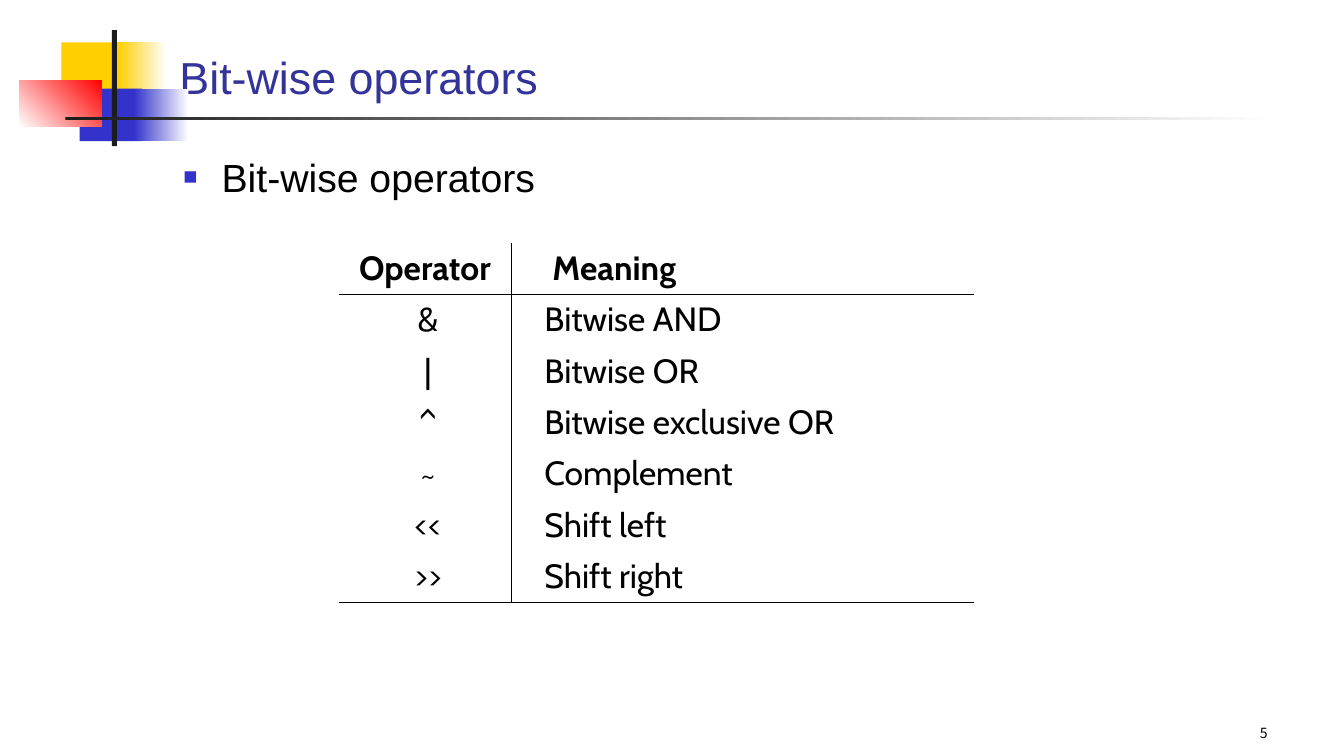
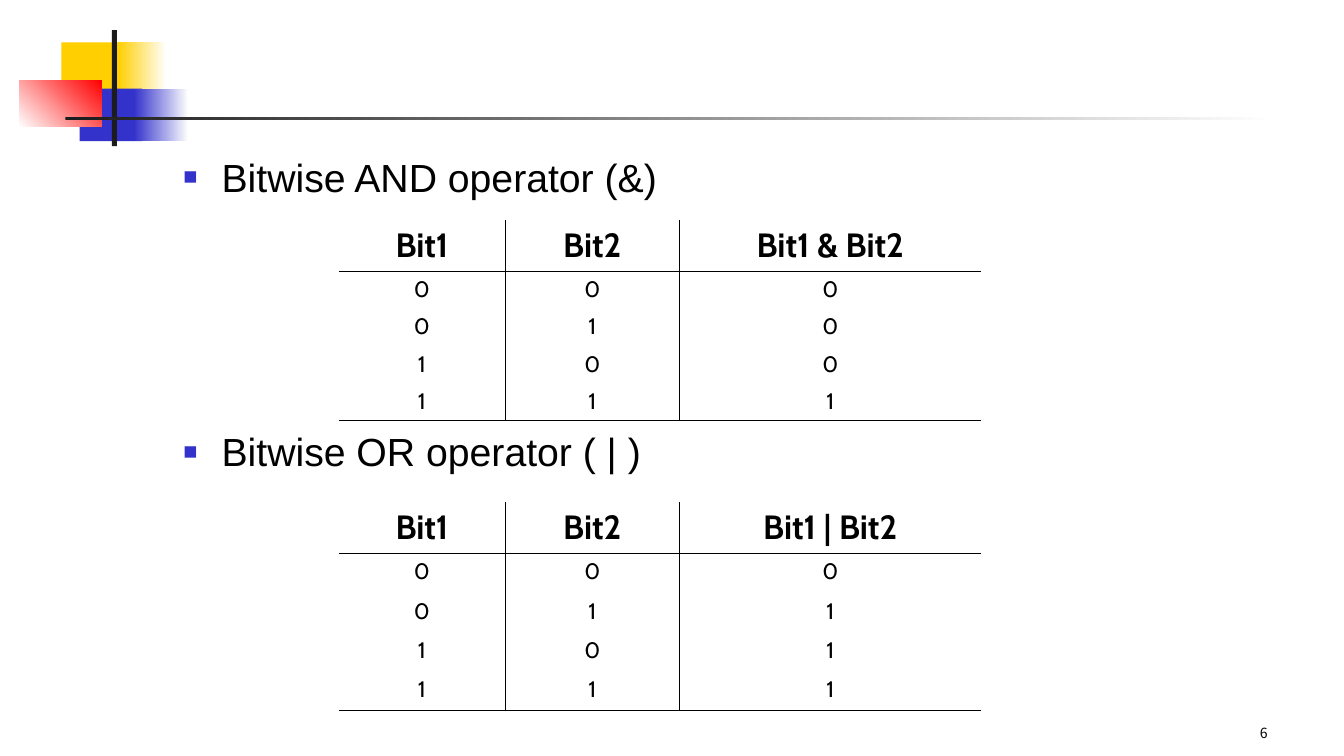
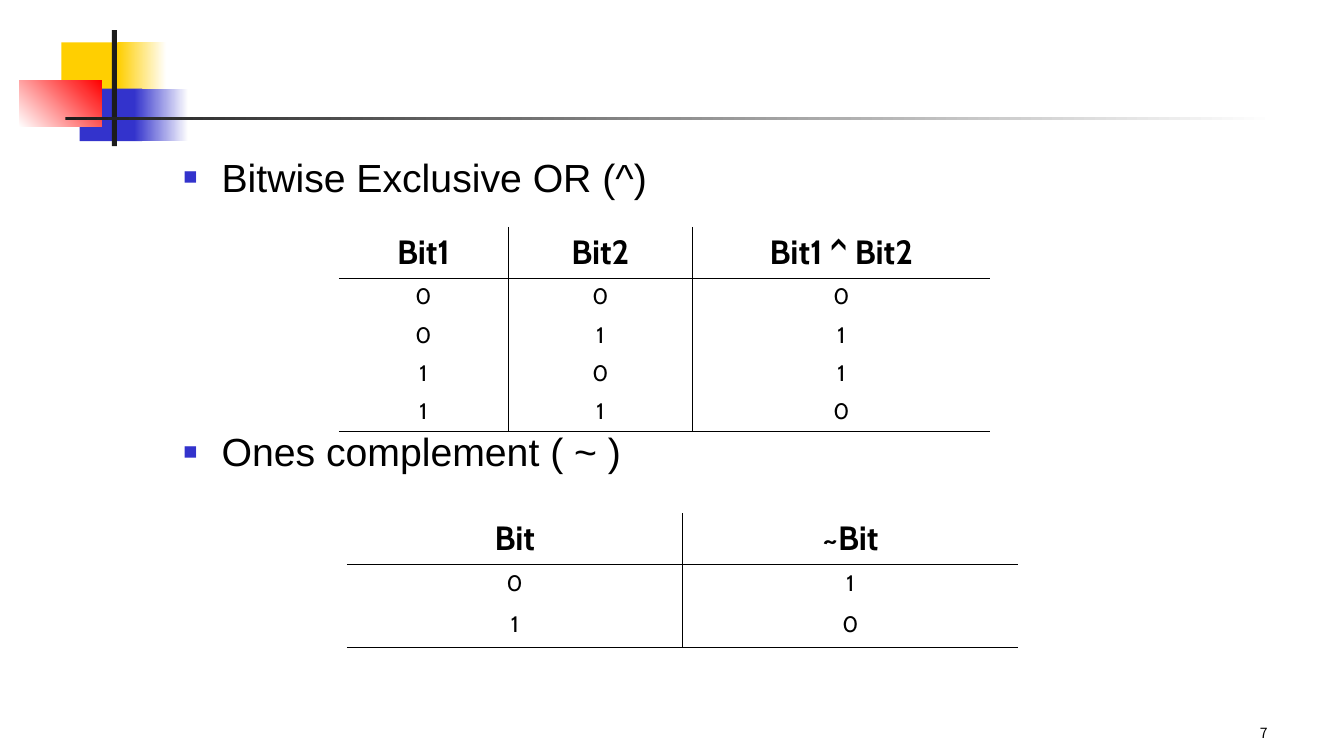
"""Build three slides on bit-wise operators and their truth tables."""
from dataclasses import dataclass
from typing import Optional

from lxml import etree
from pptx import Presentation
from pptx.dml.color import RGBColor
from pptx.enum import shapes, text
from pptx.oxml.ns import qn
from pptx.util import Inches, Pt


@dataclass(frozen=True)
class Theme:
    yellow: str = "FFCF01"
    blue: str = "3333CC"
    red: str = "FF0000"
    dark: str = "1C1C1C"
    white: str = "FFFFFF"
    title: str = "333399"
    ink: str = "000000"
    font: str = "Arial"
    table_font: str = "Cabin"
    number_font: str = "Noto Sans CJK KR"
    title_size: int = 32
    bullet_size: int = 28
    header_size: int = 24
    bit_size: int = 16
    number_size: int = 10
    rule_width: float = 1
    bullet_percent: int = 60


@dataclass(frozen=True)
class Block:
    left: float
    top: float
    width: float
    height: float
    color: str
    end: Optional[str] = None
    angle: int = 0


@dataclass(frozen=True)
class Grid:
    left: float
    top: float
    cols: tuple[float, ...]
    row_height: float
    rows: tuple[tuple[str, ...], ...]
    size: int
    centered: bool = True


@dataclass(frozen=True)
class Section:
    top: float
    heading: str
    grid: Grid


@dataclass(frozen=True)
class Page:
    number: int
    sections: tuple[Section, ...]
    title: str = ""


T = Theme()
HEADER_HEIGHT = 0.51
FIRST_TOP, SECOND_TOP = 1.47, 4.19

ORNAMENT = (
    Block(0.61, 0.42, 0.64, 0.52, T.yellow),
    Block(1.17, 0.42, 0.48, 0.52, T.yellow, T.white),
    Block(0.79, 0.88, 0.62, 0.52, T.blue),
    Block(1.33, 0.88, 0.54, 0.52, T.blue, T.white),
    Block(0.19, 0.8, 0.82, 0.46, T.white, T.red, 45),
    Block(1.11, 0.3, 0.05, 1.15, T.dark),
    Block(0.65, 1.16, 12, 0.03, T.dark, T.white),
)

OPERATORS = (
    ("Operator", "Meaning"),
    ("&", "Bitwise AND"),
    ("|", "Bitwise OR"),
    ("^", "Bitwise exclusive OR"),
    ("~", "Complement"),
    ("<<", "Shift left"),
    (">>", "Shift right"),
)


def truth_rows(symbol: str, results: str) -> tuple[tuple[str, ...], ...]:
    """Return the header and four rows of a two-bit truth table."""
    pairs = ("00", "01", "10", "11")
    return (("Bit1", "Bit2", f"Bit1 {symbol} Bit2"),
            *((*pair, result) for pair, result in zip(pairs, results)))


PAGES = (
    Page(5, (
        Section(FIRST_TOP, "Bit-wise operators",
                Grid(3.36, 2.41, (1.71, 4.59), 0.51, OPERATORS, T.header_size, False)),
    ), "Bit-wise operators"),
    Page(6, (
        Section(FIRST_TOP, "Bitwise AND operator (&)",
                Grid(3.36, 2.18, (1.65, 1.73, 2.99), 0.37, truth_rows("&", "0001"), T.bit_size)),
        Section(SECOND_TOP, "Bitwise OR operator ( | )",
                Grid(3.36, 4.98, (1.65, 1.73, 2.99), 0.39, truth_rows("|", "0111"), T.bit_size)),
    )),
    Page(7, (
        Section(FIRST_TOP, "Bitwise Exclusive OR (^)",
                Grid(3.36, 2.25, (1.68, 1.83, 2.95), 0.38, truth_rows("^", "0110"), T.bit_size)),
        Section(SECOND_TOP, "Ones complement ( ~ )",
                Grid(3.44, 5.09, (3.33, 3.33), 0.41,
                     (("Bit", "~Bit"), ("0", "1"), ("1", "0")), T.bit_size)),
    )),
)


def write(tf, value: str, size: int, font: str, color: str = T.ink,
          align=text.PP_ALIGN.LEFT, bold: bool = False):
    """Set the text of a frame, format it and return its paragraph."""
    tf.text = value
    tf.word_wrap = True
    p = tf.paragraphs[0]
    p.alignment = align
    for r in p.runs:
        r.font.size = Pt(size)
        r.font.name = font
        r.font.bold = bold
        r.font.color.rgb = RGBColor.from_string(color)
    return p


def add_block(s, block: Block) -> None:
    """Draw one solid or gradient rectangle."""
    sp = s.shapes.add_shape(shapes.MSO_SHAPE.RECTANGLE, Inches(block.left), Inches(block.top),
                            Inches(block.width), Inches(block.height))
    sp.shadow.inherit = False
    sp.line.fill.background()
    if block.end is None:
        sp.fill.solid()
        sp.fill.fore_color.rgb = RGBColor.from_string(block.color)
        return
    sp.fill.gradient()
    sp.fill.gradient_angle = block.angle
    for stop, position, color in zip(sp.fill.gradient_stops, (0, 1), (block.color, block.end)):
        stop.position = position
        stop.color.rgb = RGBColor.from_string(color)


def add_title(s, value: str) -> None:
    """Place and format the title placeholder."""
    sp = s.shapes.title
    sp.left, sp.top, sp.width, sp.height = map(Inches, (1.68, 0.21, 11.36, 0.87))
    write(sp.text_frame, value, T.title_size, T.font, T.title)
    sp.text_frame.vertical_anchor = text.MSO_ANCHOR.BOTTOM


def add_heading(s, top: float, value: str) -> None:
    """Add a heading with a square bullet."""
    sp = s.shapes.add_textbox(Inches(1.72), Inches(top), Inches(11.33), Inches(0.55))
    p = write(sp.text_frame, value, T.bullet_size, T.font)
    pPr = p._p.get_or_add_pPr()
    pPr.set("marL", str(Inches(0.38)))
    pPr.set("indent", str(-Inches(0.38)))
    color = etree.SubElement(pPr, qn("a:buClr"))
    etree.SubElement(color, qn("a:srgbClr"), val=T.blue)
    etree.SubElement(pPr, qn("a:buSzPct"), val=str(T.bullet_percent * 1000))
    etree.SubElement(pPr, qn("a:buFont"), typeface=T.font)
    etree.SubElement(pPr, qn("a:buChar"), char="■")


def set_borders(cell, ruled: dict[str, bool]) -> None:
    """Rule the chosen sides of a cell and clear the others."""
    tcPr = cell._tc.get_or_add_tcPr()
    for side, shown in ruled.items():
        ln = etree.SubElement(tcPr, qn(f"a:ln{side}"), w=str(Pt(T.rule_width)))
        if shown:
            fill = etree.SubElement(ln, qn("a:solidFill"))
            etree.SubElement(fill, qn("a:srgbClr"), val=T.ink)
        else:
            etree.SubElement(ln, qn("a:noFill"))


def add_grid(s, grid: Grid) -> None:
    """Add a table ruled between columns, below the header and at the foot."""
    n_rows, n_cols = len(grid.rows), len(grid.cols)
    height = HEADER_HEIGHT + grid.row_height * (n_rows - 1)
    table = s.shapes.add_table(n_rows, n_cols, Inches(grid.left), Inches(grid.top),
                               Inches(sum(grid.cols)), Inches(height)).table
    table.first_row = table.horz_banding = False
    for column, width in zip(table.columns, grid.cols):
        column.width = Inches(width)
    for i, values in enumerate(grid.rows):
        header = i == 0
        table.rows[i].height = Inches(HEADER_HEIGHT if header else grid.row_height)
        for j, value in enumerate(values):
            cell = table.cell(i, j)
            set_borders(cell, {"L": j > 0, "R": j < n_cols - 1,
                               "T": i == 1, "B": i in (0, n_rows - 1)})
            cell.fill.background()
            cell.margin_top = cell.margin_bottom = Inches(0.05)
            centered = grid.centered or j == 0
            if not centered:
                cell.margin_left = Inches(0.41 if header else 0.33)
            elif not (grid.centered or header):
                cell.margin_left = Inches(0.16)
            write(cell.text_frame, value, T.header_size if header else grid.size, T.table_font,
                  align=text.PP_ALIGN.CENTER if centered else text.PP_ALIGN.LEFT, bold=header)


def add_number(s, number: int) -> None:
    """Add the slide number at the lower right."""
    sp = s.shapes.add_textbox(Inches(9.89), Inches(7.06), Inches(2.78), Inches(0.34))
    write(sp.text_frame, str(number), T.number_size, T.number_font, align=text.PP_ALIGN.RIGHT)
    sp.text_frame.vertical_anchor = text.MSO_ANCHOR.BOTTOM


def add_page(prs, page: Page) -> None:
    """Add one slide with its ornament, sections and number."""
    s = prs.slides.add_slide(prs.slide_layouts.get_by_name("Title Only" if page.title else "Blank"))
    for block in ORNAMENT:
        add_block(s, block)
    if page.title:
        add_title(s, page.title)
    for section in page.sections:
        add_heading(s, section.top, section.heading)
        add_grid(s, section.grid)
    add_number(s, page.number)


def main() -> None:
    """Build and save the presentation."""
    prs = Presentation()
    prs.slide_width, prs.slide_height = Inches(13.33), Inches(7.5)
    for page in PAGES:
        add_page(prs, page)
    prs.save("out.pptx")


if __name__ == "__main__":
    main()
